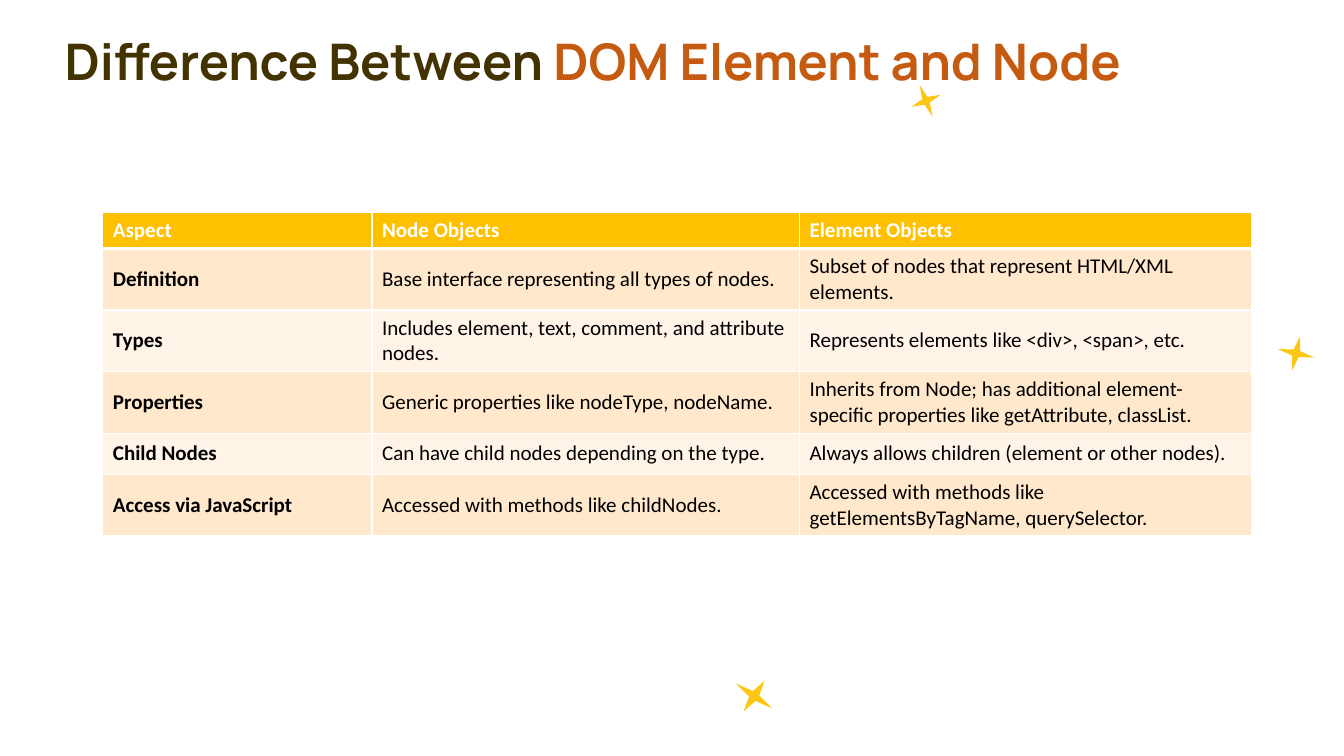
"""Build a slide comparing DOM element objects with node objects."""
from dataclasses import dataclass

from lxml import etree
from pptx import Presentation
from pptx.dml.color import RGBColor
from pptx.enum.shapes import MSO_SHAPE
from pptx.enum.text import MSO_ANCHOR, MSO_AUTO_SIZE, PP_ALIGN
from pptx.oxml.ns import qn
from pptx.util import Inches, Pt

STAR = MSO_SHAPE.STAR_4_POINT
MIDDLE, BOTTOM = MSO_ANCHOR.MIDDLE, MSO_ANCHOR.BOTTOM
NO_AUTOFIT = MSO_AUTO_SIZE.NONE
LEFT = PP_ALIGN.LEFT
TITLE_ONLY = 5
SLIDE_WIDTH, SLIDE_HEIGHT = 13.33, 7.5


@dataclass(frozen=True)
class Theme:
    title_font: str = "Manrope"
    body_font: str = "Calibri"
    title_size: float = 36
    title_leading: float = 50.2
    body_size: float = 15
    thin_line: float = 1
    thick_line: float = 3
    title: str = "423300"
    accent: str = "C55A11"
    star: str = "FCC613"
    header: str = "FFC000"
    bands: tuple[str, str] = ("FFE8CC", "FFF4E7")
    white: str = "FFFFFF"
    black: str = "000000"


@dataclass(frozen=True)
class Star:
    left: float
    top: float
    width: float
    height: float
    rotation: float


@dataclass(frozen=True)
class Row:
    height: float
    texts: tuple[str, str, str]


THEME = Theme()
STARS = (
    Star(7.26, 6.72, 0.44, 0.37, 34.3),
    Star(12.67, 3.33, 0.37, 0.35, 13.1),
    Star(9.03, 0.83, 0.31, 0.34, 337.7),
)
TITLE_PARTS = (("Difference Between ", THEME.title), ("DOM Element and Node", THEME.accent))
COLUMN_WIDTHS = (2.67, 4.24, 4.48)
HEADER_ROW, ONE_LINE_ROW, TWO_LINE_ROW = 0.35, 0.41, 0.61
ROWS = (
    Row(HEADER_ROW, ("Aspect", "Node Objects", "Element Objects")),
    Row(TWO_LINE_ROW, ("Definition", "Base interface representing all types of nodes.",
                       "Subset of nodes that represent HTML/XML elements.")),
    Row(TWO_LINE_ROW, ("Types", "Includes element, text, comment, and attribute nodes.",
                       "Represents elements like <div>, <span>, etc.")),
    Row(TWO_LINE_ROW, ("Properties", "Generic properties like nodeType, nodeName.",
                       "Inherits from Node; has additional element-specific properties "
                       "like getAttribute, classList.")),
    Row(ONE_LINE_ROW, ("Child Nodes", "Can have child nodes depending on the type.",
                       "Always allows children (element or other nodes).")),
    Row(TWO_LINE_ROW, ("Access via JavaScript", "Accessed with methods like childNodes.",
                       "Accessed with methods like getElementsByTagName, querySelector.")),
)


def style_run(run, font: str, size: float, color: str, bold: bool) -> None:
    """Format one run of text."""
    run.font.name = font
    run.font.size = Pt(size)
    run.font.bold = bold
    run.font.color.rgb = RGBColor.from_string(color)


def add_star(slide, star: Star) -> None:
    """Draw one rotated star."""
    shape = slide.shapes.add_shape(STAR, Inches(star.left), Inches(star.top),
                                   Inches(star.width), Inches(star.height))
    shape.rotation = star.rotation
    shape.shadow.inherit = False
    shape.fill.solid()
    shape.fill.fore_color.rgb = RGBColor.from_string(THEME.star)
    shape.line.fill.background()


def fill_title(slide) -> None:
    """Place the title and colour its two parts."""
    title = slide.shapes.title
    title.left, title.top = Inches(0.54), 0
    title.width, title.height = Inches(12.35), Inches(0.95)
    frame = title.text_frame
    frame.auto_size = NO_AUTOFIT
    frame.word_wrap = True
    frame.vertical_anchor = BOTTOM
    paragraph = frame.paragraphs[0]
    paragraph.alignment = LEFT
    paragraph.line_spacing = Pt(THEME.title_leading)
    for text, color in TITLE_PARTS:
        run = paragraph.add_run()
        run.text = text
        style_run(run, THEME.title_font, THEME.title_size, color, True)


def set_borders(cell, top: float, bottom: float) -> None:
    """Give a cell white borders, with its own top and bottom widths."""
    properties = cell._tc.get_or_add_tcPr()
    widths = {"a:lnL": THEME.thin_line, "a:lnR": THEME.thin_line, "a:lnT": top, "a:lnB": bottom}
    for position, (tag, width) in enumerate(widths.items()):
        line = etree.Element(qn(tag), w=str(Pt(width)))
        fill = etree.SubElement(line, qn("a:solidFill"))
        etree.SubElement(fill, qn("a:srgbClr"), val=THEME.white)
        properties.insert(position, line)


def style_cell(cell, text: str, row_index: int, column_index: int) -> None:
    """Write and format one table cell."""
    is_header = row_index == 0
    cell.text_frame.text = text
    cell.vertical_anchor = MIDDLE
    style_run(cell.text_frame.paragraphs[0].runs[0], THEME.body_font, THEME.body_size,
              THEME.white if is_header else THEME.black, is_header or column_index == 0)
    cell.fill.solid()
    color = THEME.header if is_header else THEME.bands[(row_index - 1) % 2]
    cell.fill.fore_color.rgb = RGBColor.from_string(color)
    set_borders(cell, THEME.thick_line if row_index == 1 else THEME.thin_line,
                THEME.thick_line if is_header else THEME.thin_line)


def add_comparison_table(slide) -> None:
    """Draw the table comparing nodes and elements."""
    table = slide.shapes.add_table(
        len(ROWS), len(COLUMN_WIDTHS), Inches(1.02), Inches(2.11),
        Inches(sum(COLUMN_WIDTHS)), Inches(sum(row.height for row in ROWS))).table
    for column, width in zip(table.columns, COLUMN_WIDTHS):
        column.width = Inches(width)
    for row_index, row in enumerate(ROWS):
        table.rows[row_index].height = Inches(row.height)
        for column_index, text in enumerate(row.texts):
            style_cell(table.cell(row_index, column_index), text, row_index, column_index)


def main() -> None:
    """Build and save the presentation."""
    presentation = Presentation()
    presentation.slide_width = Inches(SLIDE_WIDTH)
    presentation.slide_height = Inches(SLIDE_HEIGHT)
    slide = presentation.slides.add_slide(presentation.slide_layouts[TITLE_ONLY])
    for star in STARS:
        add_star(slide, star)
    fill_title(slide)
    add_comparison_table(slide)
    presentation.save("out.pptx")


if __name__ == "__main__":
    main()
